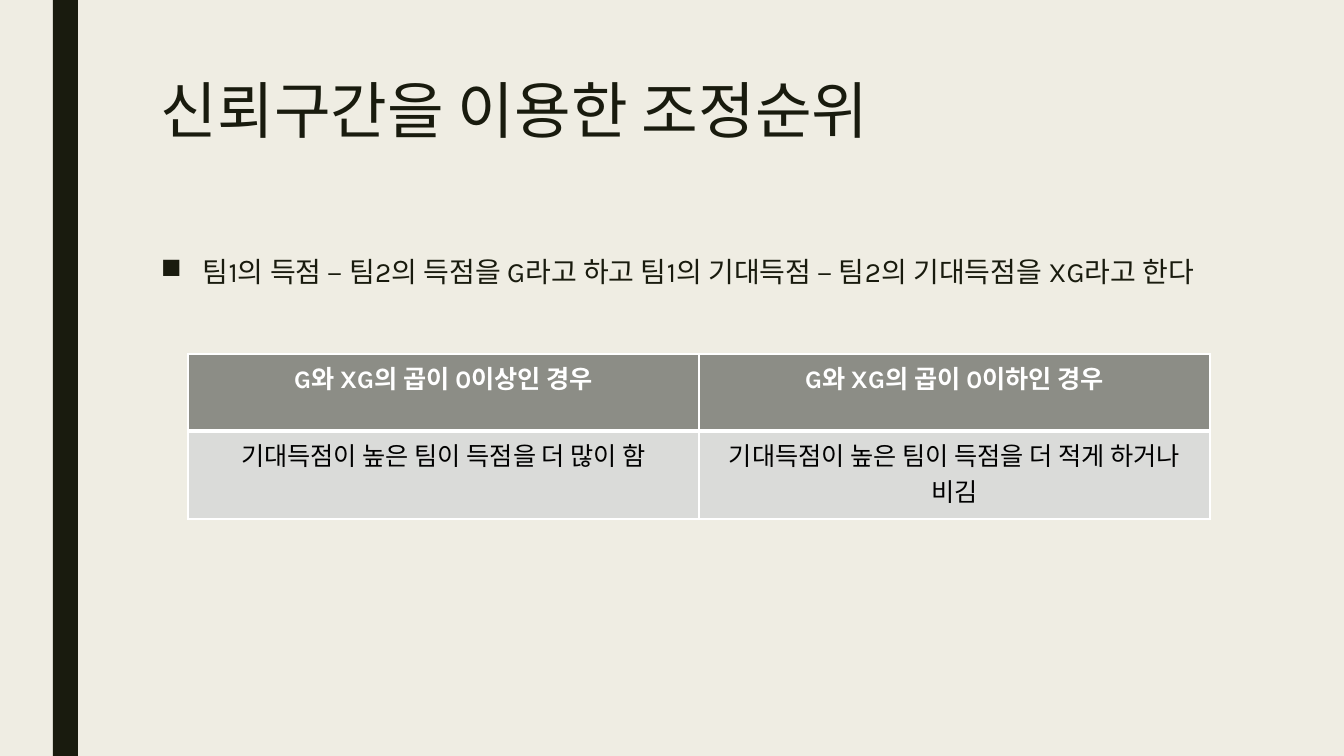
from lxml.etree import SubElement
from pptx import Presentation
from pptx.dml.color import RGBColor as RGB
from pptx.enum.shapes import MSO_SHAPE as SHAPE
from pptx.enum.text import MSO_ANCHOR as ANCHOR, PP_ALIGN as ALIGN
from pptx.oxml.ns import qn
from pptx.util import Pt

SCALE = 914400 / 100.8
FONT = "Karla"
HUES = {
    "paper": "EFEDE3",
    "ink": "191B0E",
    "head": "8C8D86",
    "cell": "DADBD9",
    "white": "FFFFFF",
    "black": "000000",
}
TITLE = "신뢰구간을 이용한 조정순위"
POINT = "팀1의 득점 – 팀2의 득점을 G라고 하고 팀1의 기대득점 – 팀2의 기대득점을 XG라고 한다"
CASES = [
    ["G와 XG의 곱이 0이상인 경우", "G와 XG의 곱이 0이하인 경우"],
    ["기대득점이 높은 팀이 득점을 더 많이 함", "기대득점이 높은 팀이 득점을 더 적게 하거나 비김"],
]


def px(n):
    return round(n * SCALE)


def hue(name):
    return RGB.from_string(HUES[name])


def paint(fill, name):
    fill.solid()
    fill.fore_color.rgb = hue(name)


def style(para, size, name, bold=False):
    font = para.font
    font.name, font.size, font.bold = FONT, Pt(size), bold
    font.color.rgb = hue(name)


def add_text(slide, box, text, size, lead):
    frame = slide.shapes.add_textbox(*map(px, box)).text_frame
    frame.word_wrap = True
    frame.vertical_anchor = ANCHOR.TOP
    para = frame.paragraphs[0]
    para.text = text
    para.line_spacing = lead
    style(para, size, "ink")
    return para


def add_bar(slide, box):
    bar = slide.shapes.add_shape(SHAPE.RECTANGLE, *map(px, box))
    bar.shadow.inherit = False
    paint(bar.fill, "ink")
    bar.line.fill.background()


def add_point(slide, box):
    para = add_text(slide, box, POINT, 20, 0.94)
    para.space_before, para.space_after = Pt(10), Pt(2)
    props = para._p.get_or_add_pPr()
    props.set("marL", str(px(42)))
    props.set("indent", str(-px(42)))
    SubElement(props, qn("a:buChar")).set("char", "■")


def add_edges(cell, widths):
    props = cell._tc.get_or_add_tcPr()
    for i, (side, width) in enumerate(zip("LRTB", widths)):
        line = SubElement(props, qn(f"a:ln{side}"), w=str(Pt(width)))
        fill = SubElement(line, qn("a:solidFill"))
        SubElement(fill, qn("a:srgbClr"), val=HUES["white"])
        props.insert(i, line)


def add_cases(slide, box, rows):
    table = slide.shapes.add_table(len(CASES), len(CASES[0]), *map(px, box)).table
    looks = [("head", "white", True, (1, 1, 1, 3)), ("cell", "black", False, (1, 1, 3, 1))]
    for col in table.columns:
        col.width = px(box[2] // len(CASES[0]))
    for r, (texts, look) in enumerate(zip(CASES, looks)):
        table.rows[r].height = px(rows[r])
        back, ink, bold, edges = look
        for c, text in enumerate(texts):
            cell = table.cell(r, c)
            cell.text = text
            para = cell.text_frame.paragraphs[0]
            para.alignment = ALIGN.CENTER
            style(para, 18, ink, bold)
            paint(cell.fill, back)
            add_edges(cell, edges)


def main():
    deck = Presentation()
    deck.slide_width, deck.slide_height = px(1344), px(756)
    slide = deck.slides.add_slide(deck.slide_layouts[6])
    paint(slide.background.fill, "paper")
    add_bar(slide, (53, 0, 25, 756))
    add_text(slide, (151, 76, 1058, 163), TITLE, 44, 0.89)
    add_point(slide, (151, 252, 1058, 102))
    add_cases(slide, (188, 354, 1022, 165), (77, 88))
    deck.save("out.pptx")


if __name__ == "__main__":
    main()
